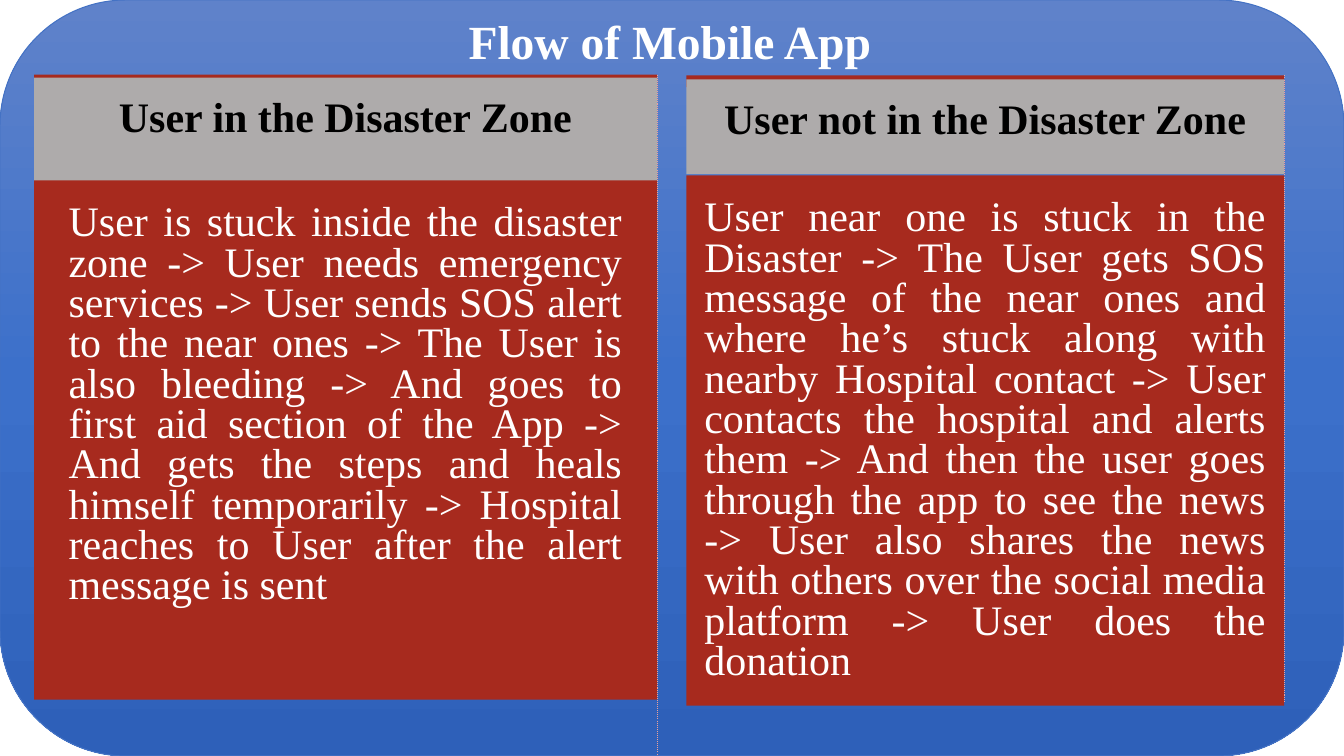
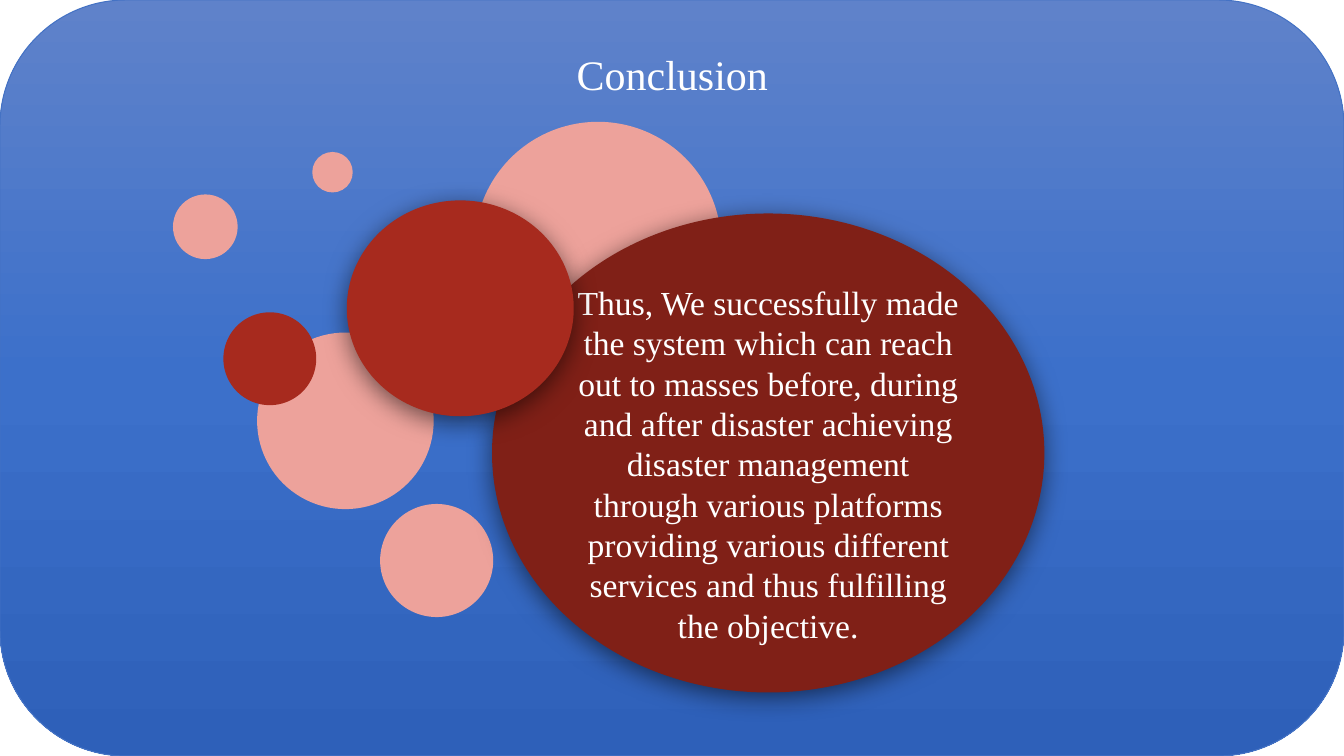
from dataclasses import dataclass
from typing import NamedTuple

from lxml.etree import SubElement
from copy import deepcopy
from pptx import Presentation
from pptx.dml.color import RGBColor
from pptx.enum.dml import MSO_LINE_DASH_STYLE as Dash
from pptx.enum.shapes import MSO_CONNECTOR as Connector, MSO_SHAPE as Preset
from pptx.enum.text import MSO_ANCHOR as Anchor, PP_ALIGN as Align
from pptx.oxml.ns import qn
from pptx.util import Cm, Pt

COLORS = {
    "white": "FFFFFF",
    "black": "000000",
    "edge": "4472C4",
    "sky": "5F82CA",
    "blue": "3C70CA",
    "deep": "2E60B9",
    "red": "A72A1E",
    "maroon": "802017",
    "pink": "EDA29B",
    "grey": "AEABAB",
}
BACKDROP_STOPS = ((0, "sky"), (0.5, "blue"), (1, "deep"))
SLIDE_WIDTH, SLIDE_HEIGHT = 33.87, 19.05
FONT = "Times New Roman"
TITLE_INSETS = (0.25, 0.13)
BODY_INSETS = (0.33, 0.33)


class Box(NamedTuple):
    left: float
    top: float
    width: float
    height: float

    def lengths(self) -> list:
        return [Cm(value) for value in self]


@dataclass(frozen=True)
class TextStyle:
    size: float
    color: str = "white"
    bold: bool = False
    align: Align = Align.CENTER
    anchor: Anchor = Anchor.TOP
    spacing: float = 1.0
    insets: tuple = BODY_INSETS


@dataclass(frozen=True)
class Panel:
    heading: str
    story: str
    left: float
    width: float
    bar_top: float
    bar_height: float
    heading_top: float
    heading_height: float
    body_top: float
    body_height: float
    story_top: float
    story_inset: float
    divider_bottom: float


class Bubble(NamedTuple):
    box: Box
    color: str
    shadow: bool = False


HEADING = TextStyle(30, "black", bold=True)
STORY = TextStyle(30, align=Align.JUSTIFY, spacing=0.8)
CONCLUSION = TextStyle(24, anchor=Anchor.MIDDLE)

PANELS = (
    Panel(
        "User not in the Disaster Zone",
        "User near one is stuck in the Disaster -> The User gets SOS message of "
        "the near ones and where he’s stuck along with nearby Hospital contact "
        "-> User contacts the hospital and alerts them -> And then the user goes "
        "through the app to see the news -> User also shares the news with "
        "others over the social media platform -> User does the donation",
        left=17.3, width=15.06, bar_top=1.9, bar_height=0.3,
        heading_top=2.0, heading_height=2.39, body_top=4.42, body_height=13.36,
        story_top=4.7, story_inset=0.12, divider_bottom=17.7,
    ),
    Panel(
        "User in the Disaster Zone",
        "User is stuck inside the disaster zone -> User needs emergency services "
        "-> User sends SOS alert to the near ones -> The User is also bleeding "
        "-> And goes to first aid section of the App -> And gets the steps and "
        "heals himself temporarily -> Hospital reaches to User after the alert "
        "message is sent",
        left=0.86, width=15.7, bar_top=1.88, bar_height=0.33,
        heading_top=1.96, heading_height=2.59, body_top=4.37, body_height=13.26,
        story_top=4.83, story_inset=0.54, divider_bottom=SLIDE_HEIGHT,
    ),
)

SMALL_BUBBLES = (
    Bubble(Box(9.58, 12.7, 2.85, 2.85), "pink"),
    Bubble(Box(4.36, 4.9, 1.63, 1.63), "pink"),
    Bubble(Box(6.48, 8.38, 4.45, 4.45), "pink"),
    Bubble(Box(11.96, 3.07, 6.22, 6.22), "pink"),
    Bubble(Box(5.63, 7.87, 2.34, 2.34), "red"),
    Bubble(Box(7.87, 3.83, 1.02, 1.02), "pink"),
)
MAIN_BUBBLE = Bubble(Box(12.4, 5.38, 13.92, 12.07), "maroon", shadow=True)
FRONT_BUBBLE = Bubble(Box(8.74, 5.05, 5.72, 5.44), "red", shadow=True)


def rgb(name: str) -> RGBColor:
    return RGBColor.from_string(COLORS[name])


def apply(target, formats: dict) -> None:
    for attribute, value in formats.items():
        setattr(target, attribute, value)


def write(shape, text: str, style: TextStyle) -> None:
    frame = shape.text_frame
    side, edge = (Cm(inset) for inset in style.insets)
    apply(frame, {
        "word_wrap": True, "vertical_anchor": style.anchor,
        "margin_left": side, "margin_right": side,
        "margin_top": edge, "margin_bottom": edge,
    })
    paragraph = frame.paragraphs[0]
    apply(paragraph, {"alignment": style.align, "line_spacing": style.spacing})
    run = paragraph.add_run()
    run.text = text
    apply(run.font, {"name": FONT, "size": Pt(style.size), "bold": style.bold})
    run.font.color.rgb = rgb(style.color)


def add_text(slide, box: Box, text: str, style: TextStyle) -> None:
    write(slide.shapes.add_textbox(*box.lengths()), text, style)


def add_block(slide, preset: Preset, box: Box, color: str):
    block = slide.shapes.add_shape(preset, *box.lengths())
    block.shadow.inherit = False
    block.fill.solid()
    block.fill.fore_color.rgb = rgb(color)
    block.line.fill.background()
    return block


def add_backdrop(slide) -> None:
    backdrop = add_block(
        slide, Preset.ROUNDED_RECTANGLE,
        Box(0, 0, SLIDE_WIDTH, SLIDE_HEIGHT), "blue",
    )
    backdrop.fill.gradient()
    backdrop.fill.gradient_angle = 270
    stop_list = backdrop.element.spPr.find(".//" + qn("a:gsLst"))
    stop_list.append(deepcopy(stop_list[-1]))
    for stop, (position, color) in zip(backdrop.fill.gradient_stops, BACKDROP_STOPS):
        stop.position = position
        stop.color.rgb = rgb(color)
    backdrop.line.color.rgb = rgb("edge")
    backdrop.line.width = Pt(0.75)


def start_slide(deck, title: str, box: Box, size: float, bold: bool = False):
    slide = deck.slides.add_slide(deck.slide_layouts[6])
    add_backdrop(slide)
    style = TextStyle(size, bold=bold, anchor=Anchor.MIDDLE, insets=TITLE_INSETS)
    add_text(slide, box, title, style)
    return slide


def add_divider(slide, x: float, top: float, bottom: float) -> None:
    divider = slide.shapes.add_connector(
        Connector.STRAIGHT, Cm(x), Cm(top), Cm(x), Cm(bottom)
    )
    divider.line.color.rgb = rgb("pink")
    apply(divider.line, {"width": Pt(0.75), "dash_style": Dash.ROUND_DOT})
    SubElement(divider.element.spPr, qn("a:effectLst"))


def add_panel(slide, panel: Panel) -> None:
    for top, height in (
        (panel.body_top, panel.body_height),
        (panel.bar_top, panel.bar_height),
    ):
        add_block(
            slide, Preset.RECTANGLE, Box(panel.left, top, panel.width, height), "red"
        )
    heading = add_block(
        slide, Preset.RECTANGLE,
        Box(panel.left, panel.heading_top, panel.width, panel.heading_height), "grey",
    )
    write(heading, panel.heading, HEADING)
    add_divider(slide, panel.left + panel.width, panel.bar_top, panel.divider_bottom)
    story_box = Box(
        panel.left + panel.story_inset, panel.story_top,
        panel.width - 2 * panel.story_inset, 12.75,
    )
    add_text(slide, story_box, panel.story, STORY)


def add_bubble(slide, bubble: Bubble) -> None:
    ellipse = add_block(slide, Preset.OVAL, bubble.box, bubble.color)
    if bubble.shadow:
        effects = ellipse.element.spPr.find(qn("a:effectLst"))
        shadow = SubElement(
            effects, qn("a:outerShdw"), blurRad=str(Pt(18)), dist=str(Pt(4)),
            dir="5400000", algn="ctr", rotWithShape="0",
        )
        shade = SubElement(shadow, qn("a:srgbClr"), val=COLORS["black"])
        SubElement(shade, qn("a:alpha"), val="53000")


def build_flow(deck) -> None:
    slide = start_slide(
        deck, "Flow of Mobile App", Box(8.31, 0.41, 17.15, 1.24), 34, bold=True
    )
    for panel in PANELS:
        add_panel(slide, panel)


def build_conclusion(deck) -> None:
    slide = start_slide(deck, "Conclusion", Box(2.34, 1.02, 29.21, 1.68), 30)
    for bubble in (*SMALL_BUBBLES, MAIN_BUBBLE):
        add_bubble(slide, bubble)
    add_text(
        slide, Box(14.05, 8.79, 10.62, 5.77),
        "Thus, We successfully made the system which can reach out to masses "
        "before, during and after disaster achieving disaster management through "
        "various platforms providing various different services and thus "
        "fulfilling the objective.",
        CONCLUSION,
    )
    add_bubble(slide, FRONT_BUBBLE)


def main() -> None:
    deck = Presentation()
    apply(deck, {"slide_width": Cm(SLIDE_WIDTH), "slide_height": Cm(SLIDE_HEIGHT)})
    build_flow(deck)
    build_conclusion(deck)
    deck.save("out.pptx")


if __name__ == "__main__":
    main()
